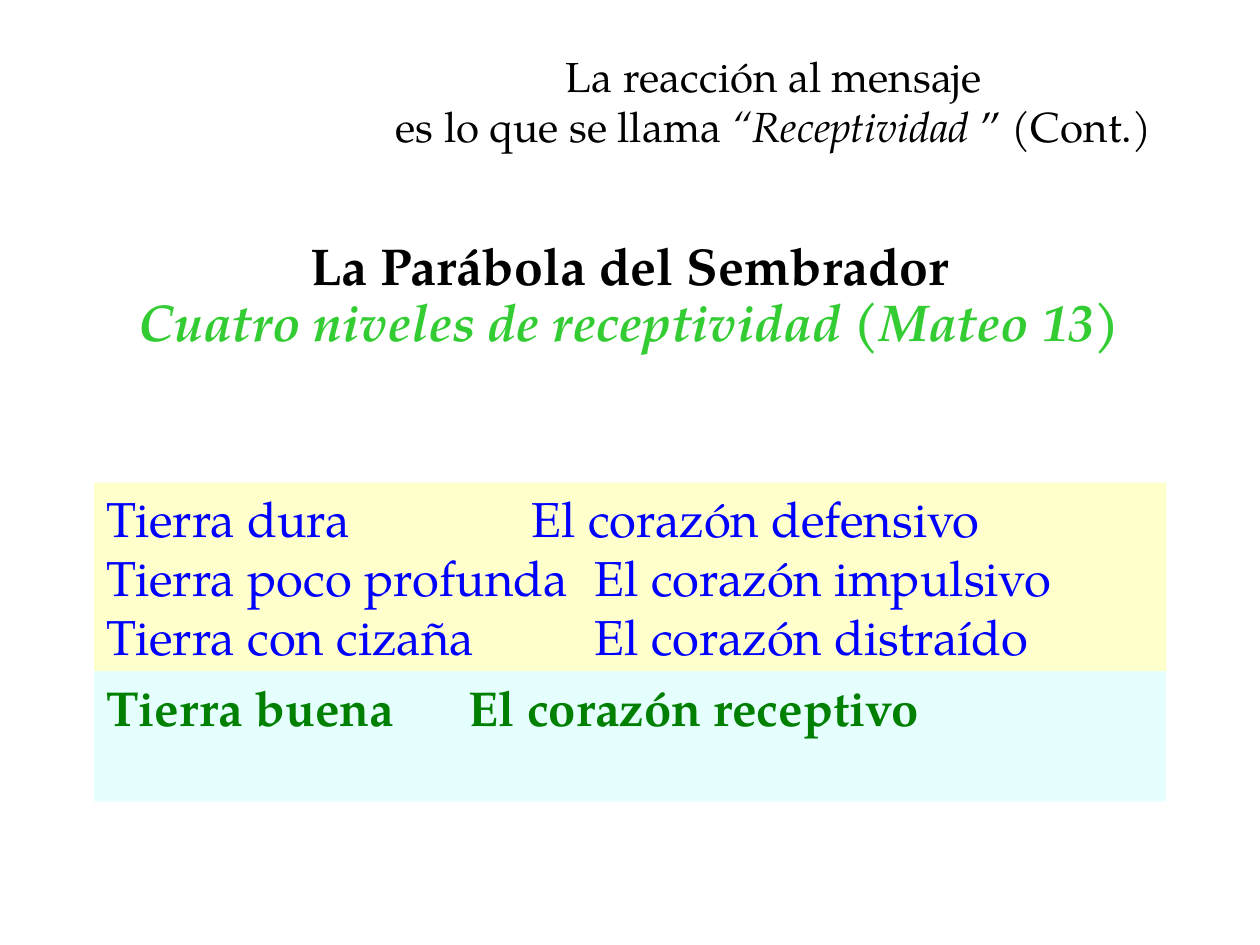
from lxml.etree import SubElement
from pptx import Presentation
from pptx.dml.color import RGBColor
from pptx.enum.shapes import MSO_SHAPE
from pptx.enum.text import MSO_ANCHOR, MSO_AUTO_SIZE, PP_ALIGN
from pptx.oxml.ns import qn
from pptx.util import Pt

FONT = "TeX Gyre Pagella"
HANGING = 27


def color(hex_string):
    return RGBColor.from_string(hex_string)


def place(shape, left, top, width, height):
    shape.left, shape.top = Pt(left), Pt(top)
    shape.width, shape.height = Pt(width), Pt(height)


def prepare_frame(shape, anchor):
    frame = shape.text_frame
    frame.word_wrap = True
    frame.auto_size = MSO_AUTO_SIZE.NONE
    frame.vertical_anchor = anchor
    return frame


def add_run(paragraph, text, size, hex_string, bold=False, italic=False):
    run = paragraph.add_run()
    run.text = text
    font = run.font
    font.name, font.size = FONT, Pt(size)
    font.bold, font.italic = bold, italic
    font.color.rgb = color(hex_string)


def next_paragraph(frame, index):
    return frame.paragraphs[0] if index == 0 else frame.add_paragraph()


def set_indent(paragraph, left, first):
    properties = paragraph._p.get_or_add_pPr()
    properties.set("marL", str(Pt(left)))
    properties.set("indent", str(Pt(first)))
    SubElement(properties, qn("a:buNone"))
    return properties


def add_tab_stops(properties):
    """Put a left tab stop at every inch."""
    stops = SubElement(properties, qn("a:tabLst"))
    for inch in range(8):
        SubElement(stops, qn("a:tab"), pos=str(Pt(72 * inch)), algn="l")


def fill_title(title):
    place(title, 184.3, 25.2, 515.5, 64.8)
    paragraph = prepare_frame(title, MSO_ANCHOR.MIDDLE).paragraphs[0]
    paragraph.alignment = PP_ALIGN.CENTER
    add_run(paragraph, "La reacción al mensaje", 24, "000000")
    paragraph.add_line_break()
    add_run(paragraph, "es lo que se llama ", 24, "000000")
    add_run(paragraph, "“Receptividad ", 24, "000000", italic=True)
    add_run(paragraph, "” (Cont.)", 24, "000000")


def fill_parable(body):
    place(body, 42.5, 133.9, 635, 122.4)
    frame = prepare_frame(body, MSO_ANCHOR.TOP)
    lines = [
        ("La Parábola del Sembrador", "000000", False),
        ("Cuatro niveles de receptividad (Mateo 13)", "33CC33", True),
    ]
    for index, (text, hex_string, italic) in enumerate(lines):
        paragraph = next_paragraph(frame, index)
        set_indent(paragraph, 0, 0)
        paragraph.alignment = PP_ALIGN.CENTER
        paragraph.line_spacing = 0.9
        paragraph.space_before = Pt(0)
        add_run(paragraph, text, 29.6, hex_string, bold=True, italic=italic)


def add_soil_panel(slide, top, height, fill, text_color, lines, bold=False):
    """Add a half-transparent panel that pairs soils with hearts."""
    panel = slide.shapes.add_shape(
        MSO_SHAPE.RECTANGLE, Pt(53.8), Pt(top), Pt(612.6), Pt(height))
    panel.shadow.inherit = False
    panel.line.fill.background()
    panel.fill.solid()
    panel.fill.fore_color.rgb = color(fill)
    fill_color = panel._element.spPr.find(qn("a:solidFill")).find(qn("a:srgbClr"))
    SubElement(fill_color, qn("a:alpha"), val="50000")
    frame = prepare_frame(panel, MSO_ANCHOR.TOP)
    for index, text in enumerate(lines):
        paragraph = next_paragraph(frame, index)
        add_tab_stops(set_indent(paragraph, HANGING, -HANGING))
        paragraph.alignment = PP_ALIGN.LEFT
        add_run(paragraph, text, 28, text_color, bold=bold)


def main():
    deck = Presentation()
    deck.slide_width, deck.slide_height = Pt(720), Pt(540)
    slide = deck.slides.add_slide(deck.slide_layouts[1])
    fill_title(slide.shapes.title)
    fill_parable(slide.placeholders[1])
    add_soil_panel(slide, 275.8, 107.7, "FFFF99", "0000FF", [
        "Tierra dura\t\t\tEl corazón defensivo",
        "Tierra poco profunda\tEl corazón impulsivo",
        "Tierra con cizaña\t\tEl corazón distraído",
    ])
    add_soil_panel(slide, 383.5, 74.5, "CCFFFF", "008000",
                   ["Tierra buena\t\tEl corazón receptivo"], bold=True)
    deck.save("out.pptx")


if __name__ == "__main__":
    main()
